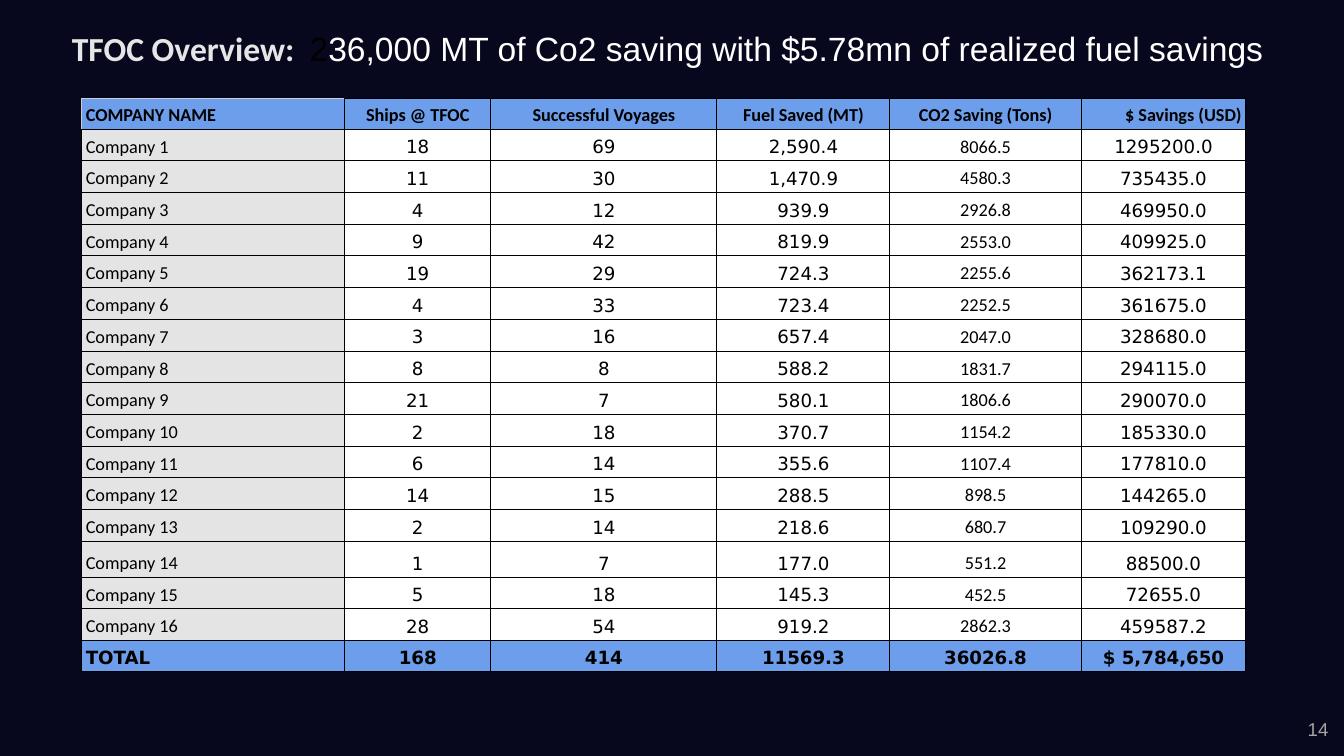
from lxml.etree import SubElement
from pptx import Presentation
from pptx.dml.color import RGBColor
from pptx.enum.text import MSO_ANCHOR, PP_ALIGN
from pptx.oxml import parse_xml
from pptx.oxml.ns import nsdecls, qn
from pptx.util import Pt

HEADINGS = ["COMPANY NAME", "Ships @ TFOC", "Successful Voyages",
            "Fuel Saved (MT)", "CO2 Saving (Tons)", "$ Savings (USD)"]
COMPANY_FIGURES = [
    ("18", "69", "2,590.4", "8066.5", "1295200.0"),
    ("11", "30", "1,470.9", "4580.3", "735435.0"),
    ("4", "12", "939.9", "2926.8", "469950.0"),
    ("9", "42", "819.9", "2553.0", "409925.0"),
    ("19", "29", "724.3", "2255.6", "362173.1"),
    ("4", "33", "723.4", "2252.5", "361675.0"),
    ("3", "16", "657.4", "2047.0", "328680.0"),
    ("8", "8", "588.2", "1831.7", "294115.0"),
    ("21", "7", "580.1", "1806.6", "290070.0"),
    ("2", "18", "370.7", "1154.2", "185330.0"),
    ("6", "14", "355.6", "1107.4", "177810.0"),
    ("14", "15", "288.5", "898.5", "144265.0"),
    ("2", "14", "218.6", "680.7", "109290.0"),
    ("1", "7", "177.0", "551.2", "88500.0"),
    ("5", "18", "145.3", "452.5", "72655.0"),
    ("28", "54", "919.2", "2862.3", "459587.2"),
]
TOTALS = ["TOTAL", "168", "414", "11569.3", "36026.8", "$ 5,784,650"]
COLUMN_WIDTHS = [187.9, 104.4, 161.5, 123.6, 136.6, 117.6]
ROW_HEIGHTS = [21.8] + [22.65] * 13 + [25.7] + [22.65] * 2 + [21.6]


def colour(hex_string):
    return RGBColor.from_string(hex_string)


def apply(target, values):
    for name, value in values.items():
        setattr(target, name, value)


class SavingsSlide:
    heading_font = "Calibri"
    title_font = "Arial"
    figure_font = "DejaVu Sans"
    band, name_fill, cell_fill = "6D9EEB", "E4E4E4", "FFFFFF"
    ink, pale_rule = "000000", "CCCCCC"

    def __init__(self, deck, background):
        self.slide = deck.slides.add_slide(deck.slide_layouts[5])
        self.slide.background.fill.solid()
        self.slide.background.fill.fore_color.rgb = colour(background)

    def add_words(self, paragraph, words, ink, **font):
        run = paragraph.add_run()
        run.text = words
        apply(run.font, font)
        run.font.color.rgb = colour(ink)

    def frame(self, holder, anchor, across, down):
        apply(holder, {"margin_left": Pt(across), "margin_right": Pt(across),
                       "margin_top": Pt(down), "margin_bottom": Pt(down),
                       "vertical_anchor": anchor, "word_wrap": True})

    def title(self, left, top, width, height, parts):
        heading = self.slide.shapes.title
        apply(heading, {"left": Pt(left), "top": Pt(top),
                        "width": Pt(width), "height": Pt(height)})
        self.frame(heading.text_frame, MSO_ANCHOR.MIDDLE, 7.2, 7.2)
        line = heading.text_frame.paragraphs[0]
        apply(line, {"alignment": PP_ALIGN.CENTER, "line_spacing": 0.9})
        for words, font, ink, bold in parts:
            self.add_words(line, words, ink, name=font, size=Pt(24), bold=bold)

    def page_number(self, left, top, width, height, number):
        corner = self.slide.shapes.add_textbox(Pt(left), Pt(top), Pt(width), Pt(height))
        self.frame(corner.text_frame, MSO_ANCHOR.BOTTOM, 9.4, 5)
        line = corner.text_frame.paragraphs[0]
        line.alignment = PP_ALIGN.RIGHT
        self.add_words(line, number, "A5A5A5", name=self.title_font, size=Pt(13.3))

    def borders(self, cell, left_top):
        properties = cell._tc.get_or_add_tcPr()
        rules = [("L", left_top), ("R", self.ink), ("T", left_top), ("B", self.ink)]
        for position, (side, ink) in enumerate(rules):
            edge = parse_xml(f'<a:ln{side} {nsdecls("a")} w="{Pt(0.75)}"/>')
            fill = SubElement(edge, qn("a:solidFill"))
            SubElement(fill, qn("a:srgbClr"), val=ink)
            properties.insert(position, edge)

    def cell(self, cell, words, fill, font, bold, alignment, spacing, left_top):
        cell.fill.solid()
        cell.fill.fore_color.rgb = colour(fill)
        apply(cell, {"margin_left": Pt(3), "margin_right": Pt(3), "margin_top": Pt(2),
                     "margin_bottom": Pt(2), "vertical_anchor": MSO_ANCHOR.BOTTOM})
        line = cell.text_frame.paragraphs[0]
        apply(line, {"alignment": alignment, "line_spacing": spacing})
        self.add_words(line, words, self.ink, name=font, size=Pt(13), bold=bold)
        self.borders(cell, left_top)

    def table(self, left, top, widths, heights, rows):
        grid = self.slide.shapes.add_table(
            len(rows), len(widths), Pt(left), Pt(top),
            Pt(sum(widths)), Pt(sum(heights))).table
        apply(grid, {"first_row": False, "horz_banding": False})
        for column, width in zip(grid.columns, widths):
            column.width = Pt(width)
        for row, height in zip(grid.rows, heights):
            row.height = Pt(height)
        last_row, last_column = len(rows) - 1, len(widths) - 1
        for r, row in enumerate(rows):
            header, total = r == 0, r == last_row
            banded = header or total
            for c, words in enumerate(row):
                fill = self.band if banded else self.cell_fill if c else self.name_fill
                in_heading_font = header or (not total and c in (0, 4))
                alignment = PP_ALIGN.CENTER if c else PP_ALIGN.LEFT
                if header and c == last_column:
                    alignment = PP_ALIGN.RIGHT
                self.cell(grid.cell(r, c), words, fill,
                          self.heading_font if in_heading_font else self.figure_font,
                          banded, alignment, 1.15 if banded or c else 1.0,
                          self.pale_rule if r == c == 0 else self.ink)


def main():
    deck = Presentation()
    apply(deck, {"slide_width": Pt(960), "slide_height": Pt(540)})
    overview = SavingsSlide(deck, "07071D")
    overview.page_number(900.7, 504.7, 57.6, 28.8, "14")
    overview.title(11.5, 7.9, 937.4, 56.9, [
        ("TFOC Overview:  ", overview.heading_font, "E7E6E6", True),
        ("2", overview.title_font, "000000", False),
        ("36,000 MT of Co2 saving with $5.78mn of realized fuel savings ",
         overview.title_font, "FFFFFF", False),
    ])
    companies = [(f"Company {number}", *figures)
                 for number, figures in enumerate(COMPANY_FIGURES, 1)]
    overview.table(58.3, 70.2, COLUMN_WIDTHS, ROW_HEIGHTS,
                   [HEADINGS, *companies, TOTALS])
    deck.save("out.pptx")


if __name__ == "__main__":
    main()
